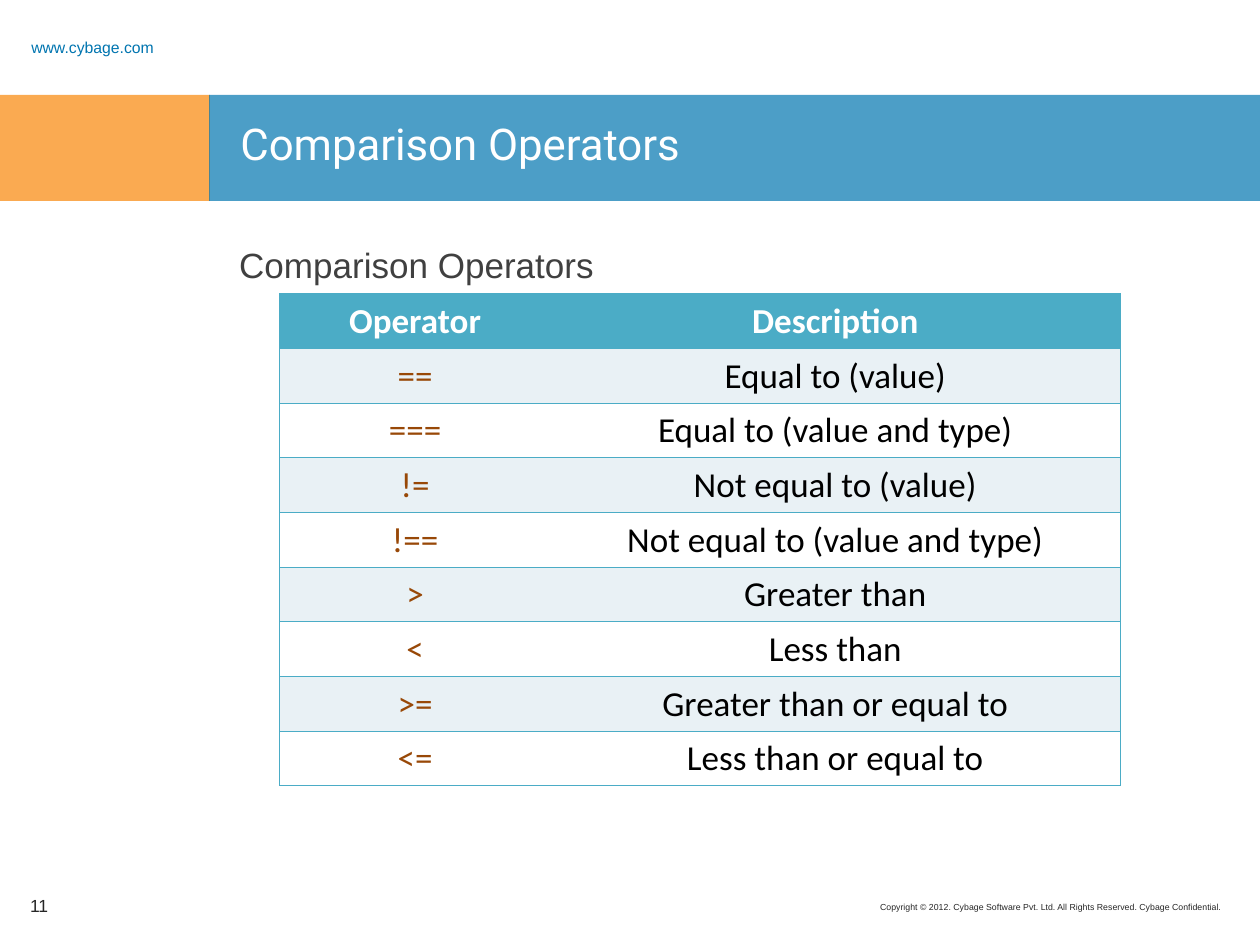
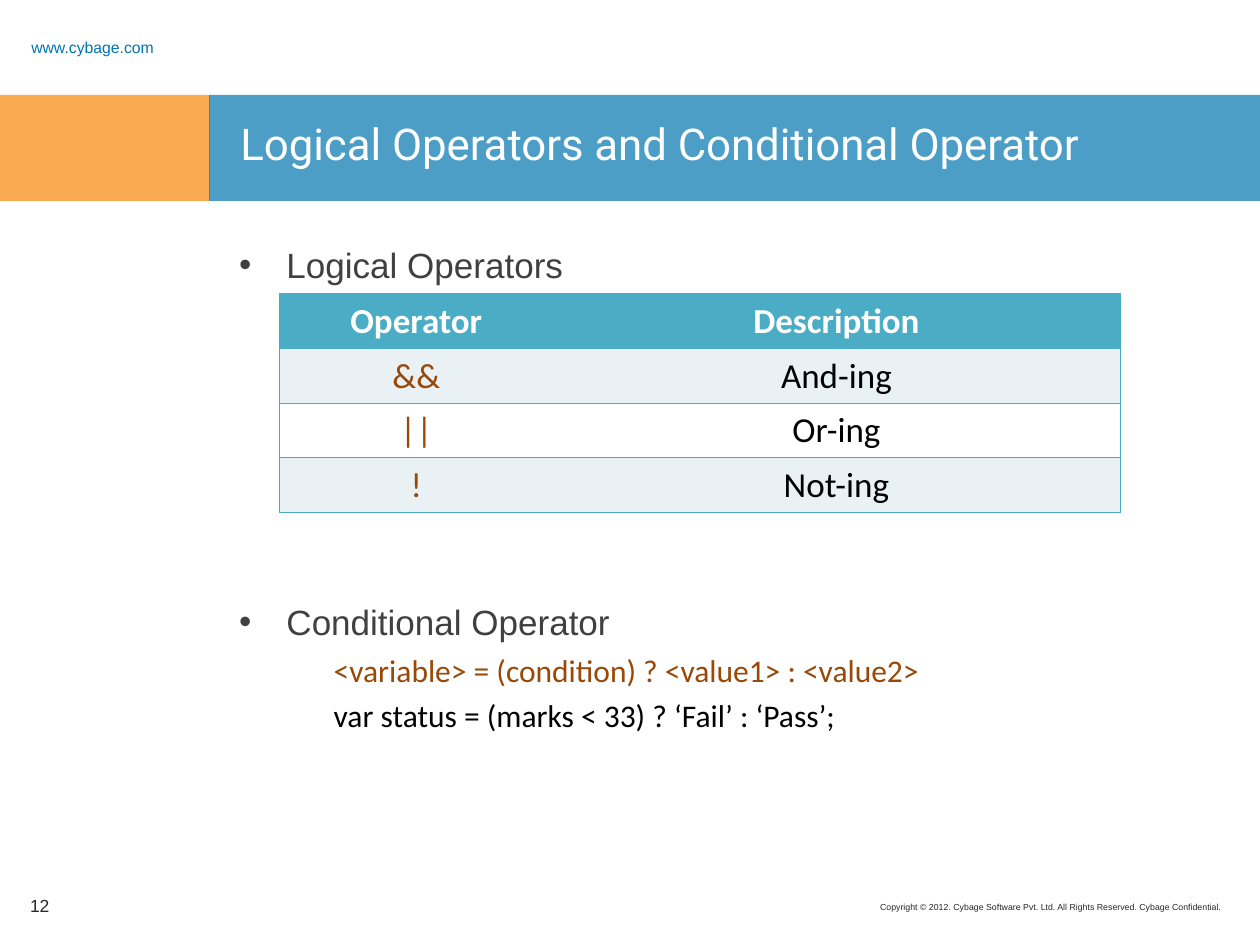
from pptx import Presentation
from pptx.dml.color import RGBColor
from pptx.enum.shapes import MSO_SHAPE as Shape
from pptx.enum.text import MSO_ANCHOR as Anchor, PP_ALIGN as Align
from pptx.oxml.ns import qn
from pptx.util import Pt
from lxml.etree import SubElement

ORANGE, BLUE, TEAL, BROWN = "F88608", "0075B0", "4BACC6", "984807"
WHITE, BLACK, STRIPE = "FFFFFF", "000000", "E9F1F5"
BODY_GREY, FOOTER_GREY = "404040", "262626"
BODY_LEFT, BODY_TOP, BODY_WIDTH = 129.6, 135.4, 572.4
TABLE_LEFT, TABLE_TOP, TABLE_WIDTH, ROW_HEIGHT = 159.8, 167.8, 480.2, 31.2


def color(value):
    return RGBColor.from_string(value)


class Deck:
    def __init__(self):
        self.deck = Presentation()
        self.deck.slide_width, self.deck.slide_height = Pt(720), Pt(540)
        self.page = None

    def add_page(self, title, number):
        self.page = self.deck.slides.add_slide(self.deck.slide_layouts[6])
        copyright_box = self.box(449.3, 511.9, 256.3, 14.4)
        self.para(copyright_box, "Copyright © 2012. Cybage Software Pvt. Ltd. "
                  "All Rights Reserved. Cybage Confidential.",
                  5, FOOTER_GREY, align=Align.RIGHT)
        address_box = self.box(10.8, 17.3, 108, 13.7, Anchor.MIDDLE)
        address = self.para(address_box, "www.cybage.com", 9, BLUE)
        address.line_spacing = 1.5
        self.band(0, 120, ORANGE)
        self.band(119.5, 600.5, BLUE)
        self.para(self.box(130.3, 63.4, 571.7, 44.6), title, 25, WHITE, "Roboto")
        number_box = self.box(10.1, 503.3, 38.9, 28.8, Anchor.MIDDLE)
        self.para(number_box, str(number), 10, FOOTER_GREY)

    def band(self, left, width, fill):
        band = self.page.shapes.add_shape(
            Shape.RECTANGLE, Pt(left), Pt(54.2), Pt(width), Pt(60.6))
        band.shadow.inherit = False
        band.line.fill.background()
        band.fill.solid()
        band.fill.fore_color.rgb = color(fill)
        tint = band.element.spPr.find(".//" + qn("a:srgbClr"))
        SubElement(tint, qn("a:alpha"), val="70000")

    def box(self, left, top, width, height, anchor=Anchor.TOP):
        shape = self.page.shapes.add_textbox(Pt(left), Pt(top), Pt(width), Pt(height))
        box = shape.text_frame
        box.word_wrap = True
        box.vertical_anchor = anchor
        return box

    def para(self, box, text, size, ink, font="Arial", align=None, bold=False,
             before=None, indent=0, bullet=False):
        first = box.paragraphs[0]
        para = box.add_paragraph() if first.runs else first
        if indent:
            props = para._p.get_or_add_pPr()
            props.set("marL", str(Pt(indent)))
            props.set("indent", str(-Pt(indent) if bullet else 0))
            if bullet:
                SubElement(props, qn("a:buFont"), typeface="Arial")
                SubElement(props, qn("a:buChar"), char="•")
        if align is not None:
            para.alignment = align
        if before is not None:
            para.space_before = Pt(before)
        span = para.add_run()
        span.text = text
        span.font.name, span.font.size, span.font.bold = font, Pt(size), bold
        span.font.color.rgb = color(ink)
        return para

    def border(self, cell, sides):
        props = cell._tc.get_or_add_tcPr()
        for side in "LRTB":
            line = SubElement(props, qn("a:ln" + side), w=str(Pt(0.45)))
            if side in sides:
                fill = SubElement(line, qn("a:solidFill"))
                SubElement(fill, qn("a:srgbClr"), val=TEAL)
            else:
                SubElement(line, qn("a:noFill"))

    def operator_table(self, operators, operator_width):
        rows = [("Operator", "Description")] + operators
        table = self.page.shapes.add_table(
            len(rows), 2, Pt(TABLE_LEFT), Pt(TABLE_TOP), Pt(TABLE_WIDTH),
            Pt(ROW_HEIGHT * len(rows))).table
        table.columns[0].width = Pt(operator_width)
        table.columns[1].width = Pt(TABLE_WIDTH - operator_width)
        for r, row in enumerate(rows):
            table.rows[r].height = Pt(ROW_HEIGHT)
            header = r == 0
            fill = TEAL if header else (WHITE, STRIPE)[r % 2]
            for c, text in enumerate(row):
                cell = table.cell(r, c)
                self.border(cell, ("LTB", "RTB")[c])
                cell.fill.solid()
                cell.fill.fore_color.rgb = color(fill)
                ink = WHITE if header else (BROWN, BLACK)[c]
                self.para(cell.text_frame, text, 20, ink, "Calibri",
                          Align.CENTER, header)


def main():
    slides = Deck()

    slides.add_page("Comparison Operators", 11)
    body = slides.box(BODY_LEFT, BODY_TOP, BODY_WIDTH, 336.2)
    slides.para(body, "Comparison Operators", 20, BODY_GREY)
    slides.operator_table([
        ("==", "Equal to (value)"),
        ("===", "Equal to (value and type)"),
        ("!=", "Not equal to (value)"),
        ("!==", "Not equal to (value and type)"),
        (">", "Greater than"),
        ("<", "Less than"),
        (">=", "Greater than or equal to"),
        ("<=", "Less than or equal to"),
    ], 154.8)

    slides.add_page("Logical Operators and Conditional Operator", 12)
    body = slides.box(BODY_LEFT, BODY_TOP, BODY_WIDTH, 345.6)
    slides.para(body, "Logical Operators", 20, BODY_GREY, indent=27, bullet=True)
    slides.para(body, "Conditional Operator", 20, BODY_GREY,
                before=180.4, indent=27, bullet=True)
    for code, ink in (("<variable> = (condition) ? <value1> : <value2>", BROWN),
                      ("var status = (marks < 33) ? ‘Fail’ : ‘Pass’;", BLACK)):
        slides.para(body, code, 18, ink, "Calibri", before=4.5, indent=54)
    slides.operator_table(
        [("&&", "And-ing"), ("||", "Or-ing"), ("!", "Not-ing")], 156.2)

    slides.deck.save("out.pptx")


if __name__ == "__main__":
    main()
